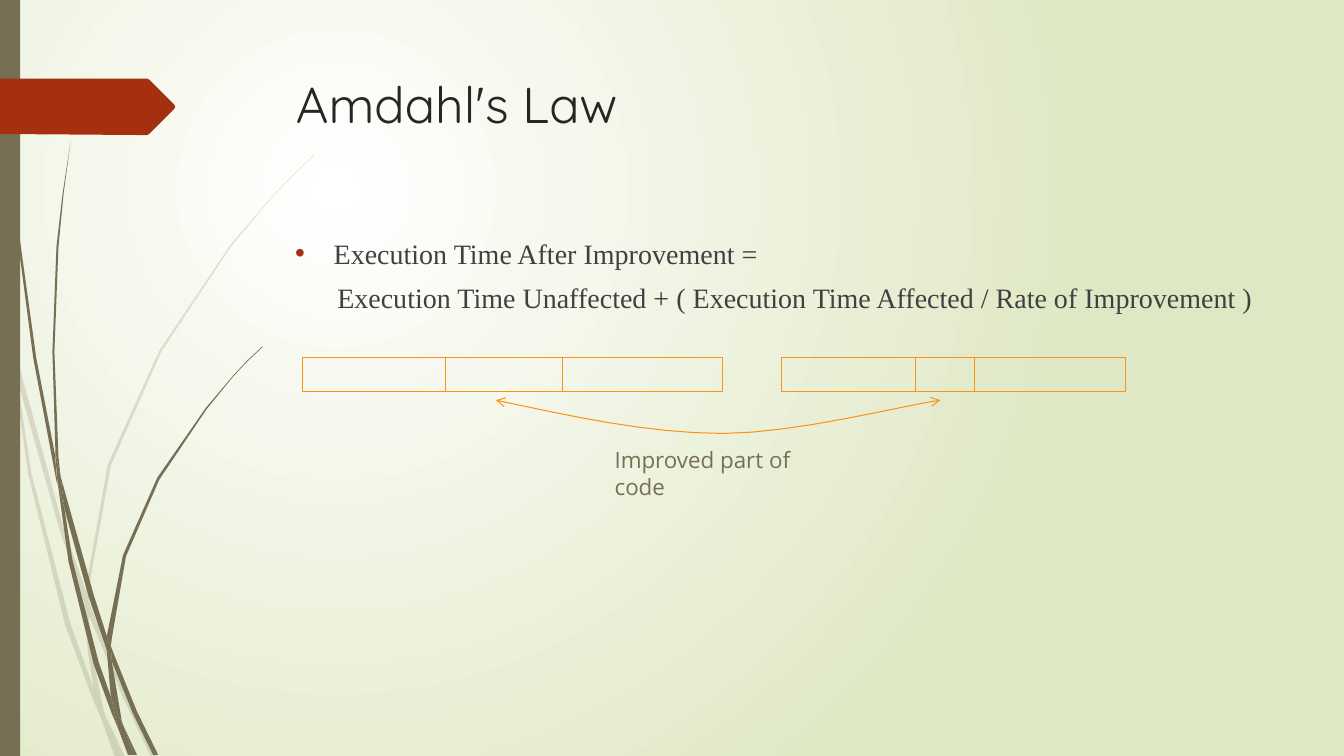
import dataclasses

import pptx
import pptx.dml.color
import pptx.enum.shapes
import pptx.enum.text
import pptx.oxml
import pptx.oxml.ns
import pptx.util

Cm, Pt = pptx.util.Cm, pptx.util.Pt
NS = pptx.oxml.ns.nsdecls("a", "p")


@dataclasses.dataclass(frozen=True)
class Theme:
    olive: str = "766F54"
    red: str = "A53010"
    orange: str = "FB9318"
    title_ink: str = "262626"
    body_ink: str = "404040"
    glow: str = "FFFFFF"
    edge: str = "DFE8C4"
    title_font: str = "Quicksand"
    body_font: str = "Times New Roman"
    caption_font: str = "Open Sans"
    title_size: int = 36
    body_size: int = 20
    caption_size: int = 16
    line_width: float = 0.75
    pale_alpha: int = 20


T = Theme()

# Outlines in units of 0.0254 cm
UNIT = 0.0254
PALE_GRASS = [
    "11,350 9,322 0,282 0,299 10,344",
    "58,522 84,599 85,586 62,520 14,345 17,376",
    "92,607 88,596 88,610 123,694 150,751 155,751 127,692",
    "119,751 124,751 105,711",
    "93,683 70,619 31,469 17,376 11,350 28,470 65,621 92,693 101,714 99,707",
    "84,599 87,646 93,683 96,692 105,711 103,706 91,646 88,610 88,608",
    "88,584 110,462 160,349 229,245 268,198 290,175 312,154 312,153 289,175 268,197 228,244 158,348"
    " 107,461 85,584 85,586 88,596",
    "101,714 114,751 119,751",
    "88,608 88,610 88,596 85,586 84,599",
    "96,692 93,683 99,707 101,714 119,751 105,711",
]
DARK_GRASS = [
    "7,110 17,233 33,355 56,477 57,481 55,457 55,453 36,355 19,232 8,109 5,48 4,0 3,0 4,48",
    "88,592 106,645 106,633 106,631 93,590 60,472 64,505",
    "113,649 110,641 111,656 132,708 152,749 157,749 136,706",
    "110,691 98,657 72,556 64,505 57,477 68,557 93,659 111,708 117,722 116,717",
    "60,472 58,453 54,349 58,245 63,193 70,141 62,193 56,245 52,349 55,449",
    "133,749 136,749 122,719",
    "57,477 64,505 60,472 55,449 55,453",
    "111,633 125,552 158,476 205,406 231,374 245,359 261,344 260,344 245,358 231,373 204,405 156,474"
    " 122,551 106,631 110,641",
    "117,722 127,749 131,749",
    "106,645 110,691 116,706 122,719 121,716 111,656 109,651",
    "106,645 109,651 111,656 110,641 106,631 106,633",
    "116,706 110,691 116,717 117,722 130,749 133,749 122,719",
]
TAG = "0,78 146,78 148,79 173,104 174,106 173,108 148,133 146,134 136,134 0,133"
ARROW = "492,397 567,413 643,430 717,430 790,430 897,402 933,397"


def rgb(color):
    return pptx.dml.color.RGBColor.from_string(color)


def read_points(text):
    return [tuple(int(v) for v in pair.split(",")) for pair in text.split()]


def trace_curves(points, steps=8):
    """Follow a chain of cubic curves in short straight steps."""
    trail = [points[0]]
    for i in range(0, len(points) - 3, 3):
        a, b, c, d = points[i:i + 4]
        for k in range(1, steps + 1):
            t = k / steps
            u = 1 - t
            trail.append(tuple(u**3 * a[n] + 3 * u * u * t * b[n] + 3 * u * t * t * c[n] + t**3 * d[n]
                               for n in (0, 1)))
    return trail


def style(sp, fill=None, line=None):
    sp.shadow.inherit = False
    if fill:
        sp.fill.solid()
        sp.fill.fore_color.rgb = rgb(fill)
    else:
        sp.fill.background()
    if line:
        sp.line.color.rgb = rgb(line)
        sp.line.width = Pt(T.line_width)
    else:
        sp.line.fill.background()


def add_outline(s, points, fill=None, line=None):
    pts = [(Cm(x * UNIT), Cm(y * UNIT)) for x, y in points]
    builder = s.shapes.build_freeform(*pts[0], scale=1.0)
    builder.add_line_segments(pts[1:], close=bool(fill))
    sp = builder.convert_to_shape()
    style(sp, fill, line)
    return sp


def add_grass(s, blades, alpha=100):
    for blade in blades:
        sp = add_outline(s, read_points(blade), fill=T.olive)
        if alpha < 100:
            color = sp._element.spPr.find(".//" + pptx.oxml.ns.qn("a:srgbClr"))
            color.append(pptx.oxml.parse_xml(f'<a:alpha {NS} val="{alpha * 1000}"/>'))


def add_rect(s, x, y, w, h, fill=None, line=None):
    sp = s.shapes.add_shape(pptx.enum.shapes.MSO_SHAPE.RECTANGLE, Cm(x), Cm(y), Cm(w), Cm(h))
    style(sp, fill, line)


def add_time_bar(s, x, w, dividers, y=9.02, h=0.84):
    add_rect(s, x, y, w, h, line=T.orange)
    for dx in dividers:
        c = s.shapes.add_connector(pptx.enum.shapes.MSO_CONNECTOR.STRAIGHT, Cm(dx), Cm(y), Cm(dx), Cm(y + h))
        c.line.color.rgb = rgb(T.orange)
        c.line.width = Pt(T.line_width)
        c._element.spPr.append(pptx.oxml.parse_xml(f"<a:effectLst {NS}/>"))


def add_text(s, x, y, w, h, lines, font, size, color):
    tf = s.shapes.add_textbox(Cm(x), Cm(y), Cm(w), Cm(h)).text_frame
    tf.word_wrap = True
    tf.vertical_anchor = pptx.enum.text.MSO_ANCHOR.TOP
    for i, line in enumerate(lines):
        p = tf.paragraphs[0] if i == 0 else tf.add_paragraph()
        r = p.add_run()
        r.text = line
        r.font.name, r.font.size, r.font.color.rgb = font, Pt(size), rgb(color)
    return tf


def set_indent(p, left, first=0.0, bullet=None):
    p.line_spacing = 0.9
    p.space_before = Pt(10)
    pPr = p._p.get_or_add_pPr()
    pPr.set("marL", str(Cm(left)))
    pPr.set("indent", str(Cm(first)))
    if bullet:
        pPr.append(pptx.oxml.parse_xml(f'<a:buClr {NS}><a:srgbClr val="{T.red}"/></a:buClr>'))
        pPr.append(pptx.oxml.parse_xml(f'<a:buFont {NS} typeface="Arial"/>'))
        pPr.append(pptx.oxml.parse_xml(f'<a:buChar {NS} char="{bullet}"/>'))


def set_background(s):
    s.element.cSld.insert(0, pptx.oxml.parse_xml(
        f'<p:bg {NS}><p:bgPr><a:gradFill rotWithShape="1"><a:gsLst>'
        f'<a:gs pos="0"><a:srgbClr val="{T.glow}"/></a:gs>'
        f'<a:gs pos="100000"><a:srgbClr val="{T.edge}"/></a:gs></a:gsLst>'
        '<a:path path="circle"><a:fillToRect l="50000" t="50000" r="100000" b="100000"/></a:path>'
        '</a:gradFill><a:effectLst/></p:bgPr></p:bg>'))


def main():
    prs = pptx.Presentation()
    prs.slide_width, prs.slide_height = Cm(33.87), Cm(19.05)
    s = prs.slides.add_slide(prs.slide_layouts[6])

    # Backdrop
    set_background(s)
    add_grass(s, PALE_GRASS, T.pale_alpha)
    add_grass(s, DARK_GRASS)
    add_rect(s, 0, 0, 0.51, 19.05, fill=T.olive)
    add_outline(s, read_points(TAG), fill=T.red)

    # Title and formula
    add_text(s, 7.21, 1.73, 24.77, 3.56, ["Amdahl's Law"], T.title_font, T.title_size, T.title_ink)
    tf = add_text(s, 7.19, 5.92, 24.77, 10.49, [
        "Execution Time After Improvement =",
        "Execution Time Unaffected + ( Execution Time Affected / Rate of Improvement )",
    ], T.body_font, T.body_size, T.body_ink)
    set_indent(tf.paragraphs[0], 0.97, -0.97, "•")
    set_indent(tf.paragraphs[1], 1.06)

    # Time before and after the improvement
    add_time_bar(s, 7.62, 10.59, (11.22, 14.18))
    add_time_bar(s, 19.69, 8.68, (23.07, 24.55))
    arrow = add_outline(s, trace_curves(read_points(ARROW)), line=T.orange)
    ln = arrow.line._get_or_add_ln()
    for end in ("headEnd", "tailEnd"):
        ln.append(pptx.oxml.parse_xml(f'<a:{end} {NS} type="arrow"/>'))
    add_text(s, 15.24, 11.13, 6.12, 0.94, ["Improved part of code"],
             T.caption_font, T.caption_size, T.olive)

    prs.save("out.pptx")


if __name__ == "__main__":
    main()
